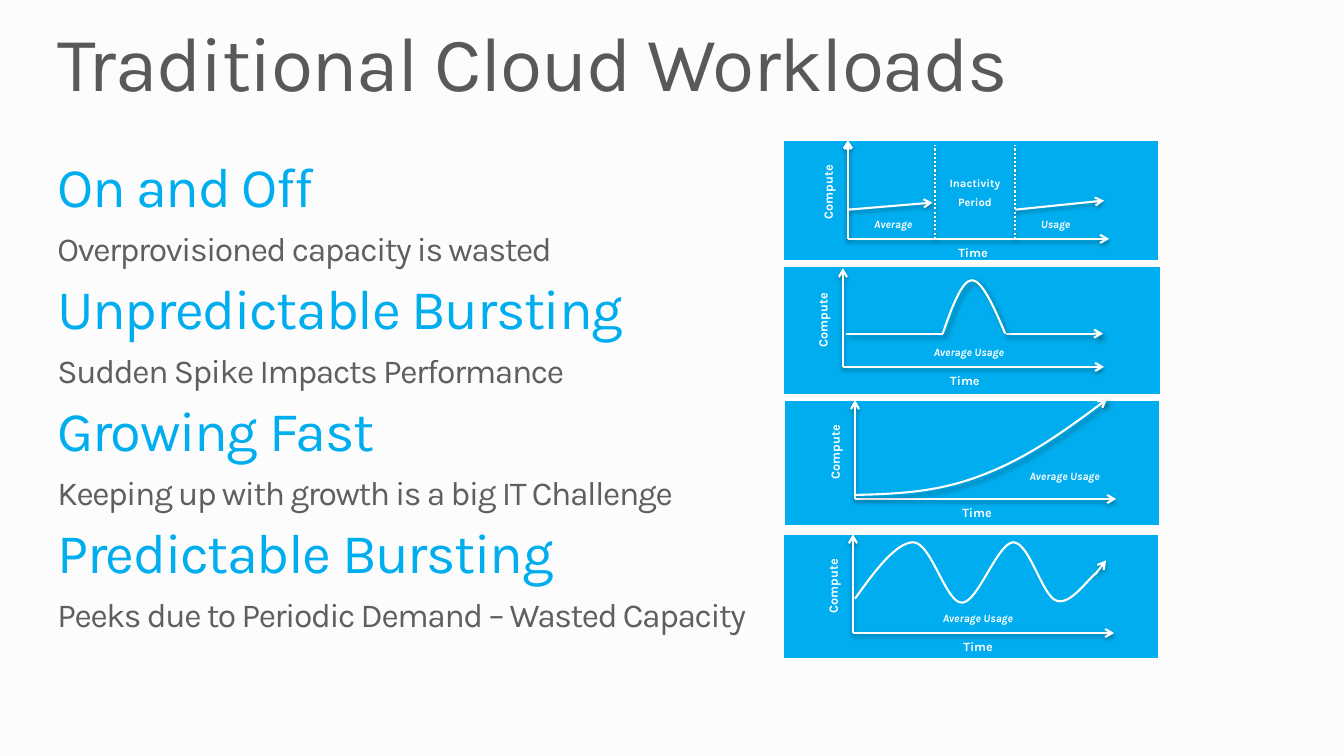
from lxml.etree import SubElement as Sub
from pptx import Presentation as Deck
from pptx.dml.color import RGBColor as RGB
from pptx.enum.dml import MSO_LINE_DASH_STYLE as Dash
from pptx.enum.shapes import MSO_CONNECTOR_TYPE as Link, MSO_SHAPE as Kind
from pptx.enum.text import MSO_ANCHOR as Anchor, PP_ALIGN as Align
from pptx.oxml.ns import qn
from pptx.util import Inches, Pt

BLUE = RGB(0x00, 0xAE, 0xEF)
WHITE = RGB(0xFF, 0xFF, 0xFF)
PAPER = RGB(0xFC, 0xFC, 0xFC)
DARK = RGB(0x59, 0x59, 0x59)
GREY = RGB(0x5F, 0x5F, 0x5F)

HEAD = {"size": Pt(55), "name": "Karla"}
TOPIC = {"size": Pt(40), "name": "Karla"}
NOTE = {"size": Pt(24), "name": "Karla"}
AXIS = {"size": Pt(9), "name": "Karla", "bold": True}
TAG = {"size": Pt(8), "name": "Karla", "bold": True, "italic": True}
PAUSE = {"size": Pt(8), "name": "Karla", "bold": True}

TIGHT = {"line_spacing": 0.9, "space_after": Pt(9)}
MID = {"alignment": Align.CENTER, "space_before": Pt(1.6)}
SMALL = {"alignment": Align.CENTER, "line_spacing": Pt(8), "space_before": Pt(1.8)}
APART = {"alignment": Align.CENTER, "line_spacing": Pt(8), "space_after": Pt(6)}

SOFT = (35, 3.15, 1.8, 90)
DEEP = (40, 4, 3, 45)

TOPICS = [
    ("On and Off", "Overprovisioned capacity is wasted"),
    ("Unpredictable Bursting", "Sudden Spike Impacts Performance"),
    ("Growing Fast", "Keeping up with growth is a big IT Challenge"),
    ("Predictable Bursting", "Peeks due to Periodic Demand – Wasted Capacity"),
]


def apply(part, values):
    """Set each named value on a part."""
    for key, value in values.items():
        setattr(part, key, value)


def write(slide, box, rows, para, pad=0.0, track=None, turn=0):
    """Write rows of text, font and colour into a box."""
    shape = slide.shapes.add_textbox(*map(Inches, box))
    shape.rotation = turn
    frame = shape.text_frame
    apply(frame, {
        "word_wrap": True, "vertical_anchor": Anchor.TOP,
        "margin_left": 0, "margin_right": 0,
        "margin_top": Inches(pad), "margin_bottom": Inches(pad),
    })
    for i, (text, font, color) in enumerate(rows):
        line = frame.add_paragraph() if i else frame.paragraphs[0]
        apply(line, para)
        run = line.add_run()
        run.text = text
        apply(run.font, font)
        run.font.color.rgb = color
        if track is not None:
            run.font._element.set("spc", str(track))


def finish(shape, arrow, shade, weight=1.5, dash=None):
    """Give a stroke its white line, arrowhead and shadow."""
    shape.line.color.rgb = WHITE
    shape.line.width = Pt(weight)
    if dash:
        shape.line.dash_style = dash
    if arrow:
        Sub(shape.line._get_or_add_ln(), qn("a:tailEnd"), type="arrow")
    effect = Sub(shape._element.spPr, qn("a:effectLst"))
    if shade:
        alpha, blur, dist, angle = shade
        outer = Sub(effect, qn("a:outerShdw"), blurRad=str(Pt(blur)),
                    dist=str(Pt(dist)), dir=str(angle * 60000), rotWithShape="0")
        black = Sub(outer, qn("a:srgbClr"), val="000000")
        Sub(black, qn("a:alpha"), val=str(alpha * 1000))


def stroke(slide, box, ends, arrow=True, shade=SOFT, **style):
    """Draw a straight line between two points of a panel."""
    x, y = box[:2]
    x1, y1, x2, y2 = ends
    line = slide.shapes.add_connector(
        Link.STRAIGHT, *map(Inches, (x + x1, y + y1, x + x2, y + y2)))
    finish(line, arrow, shade, **style)


def curve(slide, box, knots, arrow=False, shade=None):
    """Draw a chain of cubic curves through a panel."""
    x, y = box[:2]
    start, *dots = [(Inches(x + px), Inches(y + py)) for px, py in knots]
    pen = slide.shapes.build_freeform(*start)
    pen.add_line_segments(dots, close=False)
    shape = pen.convert_to_shape()
    legs = list(shape._element.iter(qn("a:lnTo")))
    for i in range(0, len(legs), 3):
        first, *rest = legs[i:i + 3]
        first.tag = qn("a:cubicBezTo")
        for leg in rest:
            first.append(leg[0])
            leg.getparent().remove(leg)
    shape.fill.background()
    finish(shape, arrow, shade)


def tag(slide, box, left, top, text):
    """Place a small italic label in a panel."""
    write(slide, (box[0] + left, box[1] + top, 0.94, 0.15), [(text, TAG, WHITE)], MID)


def panel(slide, box, axis, time=0.88, edge=WHITE, weight=1.5):
    """Draw a blue panel with its two axes and their names."""
    x, y = box[:2]
    back = slide.shapes.add_shape(Kind.RECTANGLE, *map(Inches, box))
    back.shadow.inherit = False
    back.fill.solid()
    back.fill.fore_color.rgb = BLUE
    back.line.color.rgb = edge
    back.line.width = Pt(1.25)
    stroke(slide, box, (axis, 0.98, axis, 0), weight=weight)
    stroke(slide, box, (axis, 0.98, axis + 2.59, 0.98))
    write(slide, (x + axis - 0.56, y + 0.41, 0.76, 0.21),
          [("Compute", AXIS, WHITE)], SMALL, 0.05, turn=270)
    write(slide, (x + axis + time, y + 1.03, 0.72, 0.22),
          [("Time", AXIS, WHITE)], SMALL, 0.05)


def on_off(slide, box):
    """Show two spells of use around an idle period."""
    panel(slide, box, 0.64, weight=2)
    stroke(slide, box, (0.64, 0.69, 1.48, 0.62))
    stroke(slide, box, (2.3, 0.69, 3.18, 0.6))
    for x in (1.5, 2.3):
        stroke(slide, box, (x, 0.98, x, 0.05), arrow=False, dash=Dash.ROUND_DOT)
    tag(slide, box, 0.62, 0.77, "Average")
    tag(slide, box, 2.23, 0.77, "Usage")
    write(slide, (box[0] + 1.44, box[1] + 0.33, 0.92, 0.43),
          [("Inactivity", PAUSE, WHITE), ("Period", PAUSE, WHITE)], APART, 0.05)


def spike(slide, box):
    """Show level use with one sudden peak."""
    panel(slide, box, 0.58, time=0.85, edge=BLUE)
    tag(slide, box, 1.36, 0.77, "Average Usage")
    stroke(slide, box, (2.2, 0.65, 3.16, 0.65), shade=DEEP)
    stroke(slide, box, (0.61, 0.65, 1.57, 0.65), arrow=False, shade=DEEP)
    curve(slide, box, [(1.57, 0.65), (1.66, 0.39), (1.76, 0.12), (1.86, 0.12),
                       (1.96, 0.12), (2.08, 0.39), (2.19, 0.65)], shade=DEEP)


def growth(slide, box):
    """Show use that climbs ever faster."""
    panel(slide, box, 0.7, time=0.85)
    tag(slide, box, 2.31, 0.69, "Average Usage")
    curve(slide, box, [(0.7, 0.94), (1.2, 0.93), (1.56, 0.9), (1.97, 0.74),
                       (2.39, 0.58), (2.79, 0.3), (3.2, -0.01)],
          arrow=True, shade=DEEP)


def waves(slide, box):
    """Show use that rises and falls in turn."""
    panel(slide, box, 0.69)
    tag(slide, box, 1.46, 0.76, "Average Usage")
    stroke(slide, box, (3.09, 0.4, 3.2, 0.26))
    curve(slide, box, [(0.71, 0.64), (0.91, 0.36), (1.12, 0.08), (1.29, 0.08),
                       (1.47, 0.09), (1.61, 0.68), (1.77, 0.68),
                       (1.93, 0.68), (2.12, 0.09), (2.28, 0.08),
                       (2.44, 0.08), (2.57, 0.62), (2.71, 0.66),
                       (2.85, 0.71), (3.03, 0.43), (3.11, 0.38)])


def topics(slide, box):
    """List each workload with its note."""
    rows = []
    for name, note in TOPICS:
        rows += [(name, TOPIC, BLUE), (note, NOTE, GREY)]
    write(slide, box, rows, TIGHT, track=-100)


def main():
    """Build the slide and save it."""
    deck = Deck()
    deck.slide_width, deck.slide_height = Inches(13.33), Inches(7.5)
    slide = deck.slides.add_slide(deck.slide_layouts[6])
    slide.background.fill.solid()
    slide.background.fill.fore_color.rgb = PAPER
    write(slide, (0.57, 0.25, 12.19, 0.83),
          [("Traditional Cloud Workloads", HEAD, DARK)], {"line_spacing": 0.9}, track=-100)
    on_off(slide, (7.77, 1.39, 3.72, 1.2))
    spike(slide, (7.78, 2.66, 3.72, 1.24))
    growth(slide, (7.78, 3.97, 3.72, 1.25))
    waves(slide, (7.77, 5.3, 3.72, 1.24))
    topics(slide, (0.57, 1.58, 12.19, 5.6))
    deck.save("out.pptx")


if __name__ == "__main__":
    main()
